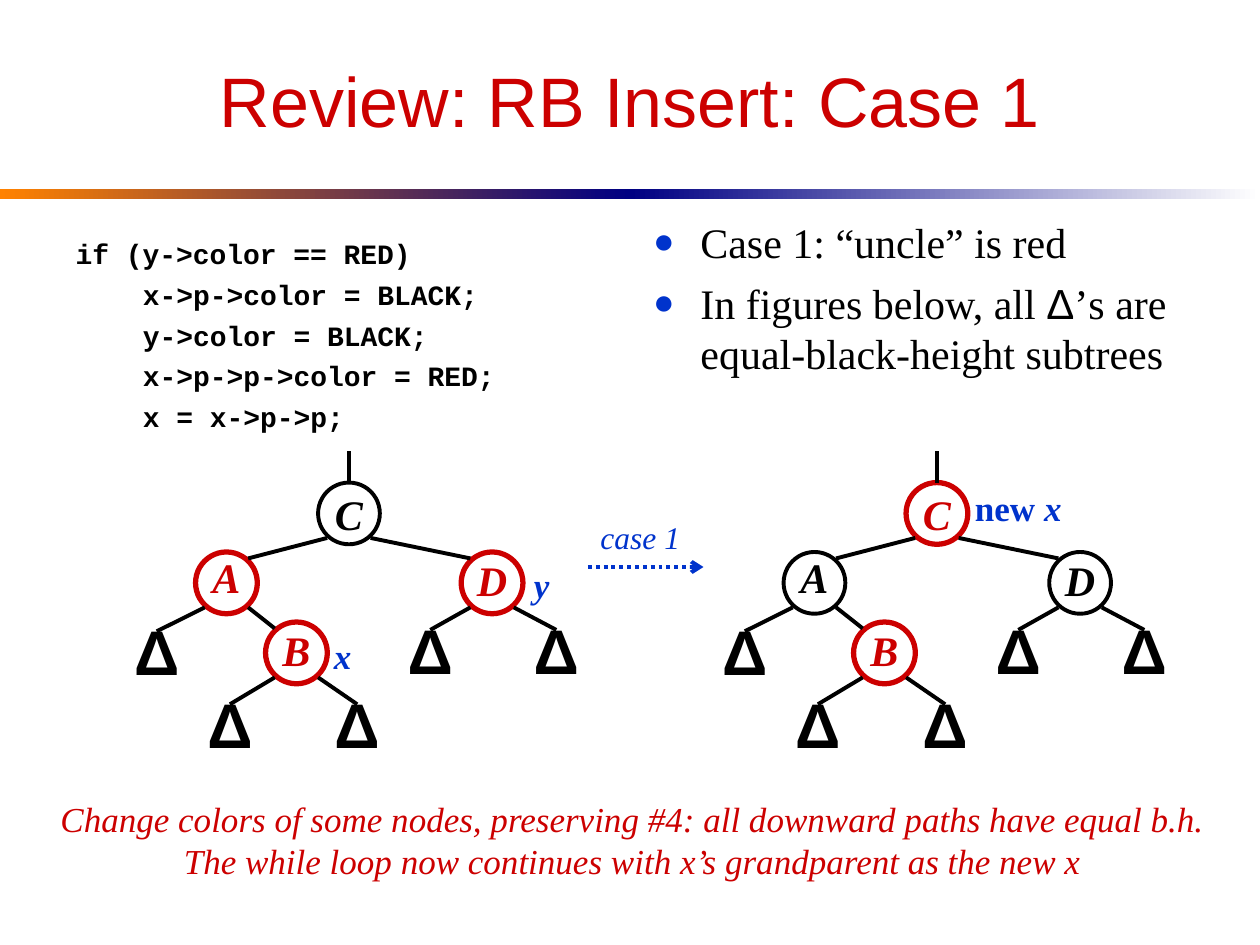
import lxml.etree
import pptx
import pptx.dml.color
import pptx.enum.dml
import pptx.enum.shapes
import pptx.enum.text
import pptx.oxml.ns
import pptx.util

Pt = pptx.util.Pt
RGB = pptx.dml.color.RGBColor
qn = pptx.oxml.ns.qn
KIND = pptx.enum.shapes.MSO_SHAPE
ALIGN = pptx.enum.text.PP_ALIGN
MIDDLE = pptx.enum.text.MSO_ANCHOR.MIDDLE
FIT = pptx.enum.text.MSO_AUTO_SIZE

BLACK = RGB(0x00, 0x00, 0x00)
WHITE = RGB(0xFF, 0xFF, 0xFF)
RED = RGB(0xCC, 0x00, 0x00)
BLUE = RGB(0x00, 0x33, 0xCC)
NAVY = RGB(0x00, 0x00, 0x82)
ORANGE = RGB(0xFF, 0x82, 0x00)

SERIF = "Times New Roman"
TITLE = dict(name="Arial", size=Pt(40), color=RED)
CODE = dict(name="Courier New", size=Pt(16), bold=True, color=BLACK)
BODY = dict(name=SERIF, size=Pt(24), color=BLACK)
NODE = dict(name=SERIF, size=Pt(24), bold=True, italic=True)
LEAF = dict(name="Arial", size=Pt(36), bold=True, color=BLACK)
MARK = dict(name=SERIF, size=Pt(20), bold=True, color=BLUE)
NOTE = dict(name=SERIF, size=Pt(20), italic=True, color=RED)
STEP = dict(name=SERIF, size=Pt(18), italic=True, color=BLUE)

SIZE = 35.3
DX, DY = 12.4, 14
SHIFT = 336
NODES = {
    "C": (199.4, 293.4, 1.0),
    "A": (129.4, 333.1, 0.7),
    "D": (281.2, 333.1, 0.9),
    "B": (169.4, 373.1, 0.9),
}
LEAVES = [
    ("A", 89.6, 378.4, WHITE),
    ("B", 131.4, 420.1, WHITE),
    ("B", 204.1, 420.1, None),
    ("D", 245.9, 377.6, None),
    ("D", 317.9, 377.6, None),
]
EDGES = ["CA", "CD", "AB"]


def add_run(para, text, form):
    run = para.add_run()
    run.text = text
    for key, value in form.items():
        if key == "color":
            run.font.color.rgb = value
        else:
            setattr(run.font, key, value)


def fill_text(frame, paras, form, **props):
    for i, parts in enumerate(paras):
        para = frame.paragraphs[0] if i == 0 else frame.add_paragraph()
        for key, value in props.items():
            setattr(para, key, value)
        for text, extra in parts:
            add_run(para, text, form | extra)


def place(shape, box):
    for key, value in zip(("left", "top", "width", "height"), box):
        setattr(shape, key, Pt(value))
    shape.text_frame.auto_size = FIT.NONE
    return shape.text_frame


def set_list(para, left, hang, mark=None):
    prop = para._p.get_or_add_pPr()
    prop.set("marL", str(int(Pt(left))))
    prop.set("indent", str(-int(Pt(hang))))
    add = lxml.etree.SubElement
    if mark:
        tint = add(prop, qn("a:buClr"))
        add(tint, qn("a:srgbClr"), val=str(BLUE))
        add(prop, qn("a:buSzPct"), val="85000")
        add(prop, qn("a:buChar"), char=mark)
    else:
        add(prop, qn("a:buNone"))


def add_bar(slide, left, start, end):
    bar = slide.shapes.add_shape(KIND.RECTANGLE, Pt(left), Pt(108), Pt(360), Pt(5.76))
    bar.shadow.inherit = False
    bar.line.fill.background()
    bar.fill.gradient()
    bar.fill.gradient_angle = 0
    for stop, color in zip(bar.fill.gradient_stops, (start, end)):
        stop.color.rgb = color


def add_disc(slide, x, y, text, form, space, fill=WHITE, line=None):
    disc = slide.shapes.add_shape(
        KIND.OVAL, Pt(x - SIZE / 2), Pt(y - SIZE / 2), Pt(SIZE), Pt(SIZE))
    disc.shadow.inherit = False
    if fill is None:
        disc.fill.background()
    else:
        disc.fill.solid()
        disc.fill.fore_color.rgb = fill
    if line is None:
        disc.line.fill.background()
    else:
        disc.line.color.rgb = line
        disc.line.width = Pt(3 if line == RED else 2.25)
    frame = disc.text_frame
    frame.word_wrap = False
    frame.vertical_anchor = MIDDLE
    fill_text(frame, [[(text, {})]], form, alignment=ALIGN.CENTER, line_spacing=space)


def add_line(slide, start, end, color=BLACK, arrow=False):
    line = slide.shapes.add_connector(
        pptx.enum.shapes.MSO_CONNECTOR.STRAIGHT, *map(Pt, start + end))
    line.line.color.rgb = color
    line.line.width = Pt(2.25)
    prop = line.element.spPr
    if arrow:
        line.line.dash_style = pptx.enum.dml.MSO_LINE.ROUND_DOT
        lxml.etree.SubElement(prop.find(qn("a:ln")), qn("a:tailEnd"), type="arrow")
    lxml.etree.SubElement(prop, qn("a:effectLst"))


def add_tree(slide, shift, reds):
    for name, (x, y, space) in NODES.items():
        color = RED if name in reds else BLACK
        add_disc(slide, x + shift, y, name, NODE | {"color": color}, space, line=color)
    for top, x, y, fill in LEAVES:
        add_disc(slide, x + shift, y, "Δ", LEAF, 0.6, fill=fill)
    links = [(top, x, y, 0, SIZE / 2) for top, x, y, fill in LEAVES]
    links += [(top, *NODES[low][:2], DX, DY) for top, low in EDGES]
    for top, x, y, dx, dy in links:
        px, py, space = NODES[top]
        side = 1 if x > px else -1
        add_line(slide, (px + shift + side * DX, py + DY),
                 (x + shift - side * dx, y - dy))
    x, y, space = NODES["C"]
    add_line(slide, (x + shift, y - SIZE / 2), (x + shift, 257.8))


def add_label(slide, box, paras, form, align=ALIGN.CENTER):
    frame = slide.shapes.add_textbox(*map(Pt, box)).text_frame
    frame.word_wrap = False
    frame.auto_size = FIT.SHAPE_TO_FIT_TEXT
    frame.vertical_anchor = MIDDLE
    fill_text(frame, paras, form, alignment=align)


def add_heads(slide):
    title, code, body = slide.placeholders
    frame = place(title, (36, 18, 648, 77.8))
    frame.vertical_anchor = MIDDLE
    fill_text(frame, [[("Review: RB Insert: Case 1", {})]], TITLE, alignment=ALIGN.CENTER)

    rows = ["if (y->color == RED)", "x->p->color = BLACK;", "y->color = BLACK;",
            "x->p->p->color = RED;", "x = x->p->p;"]
    frame = place(code, (36, 131.8, 318, 131.8))
    fill_text(frame, [[(row, {})] for row in rows], CODE, space_before=Pt(4))
    for i, para in enumerate(frame.paragraphs):
        set_list(para, 38.4 if i else 0, 0)

    frame = place(body, (366, 120, 318, 138))
    fill_text(frame, [
        [("Case 1: “uncle” is red", {})],
        [("In figures below, all ", {}), ("Δ", {"name": "Arial"}),
         ("’s are equal-black-height subtrees", {})],
    ], BODY, space_before=Pt(6))
    for para in frame.paragraphs:
        set_list(para, 27, 27, "●")


def main():
    deck = pptx.Presentation()
    deck.slide_width, deck.slide_height = Pt(720), Pt(540)
    slide = deck.slides.add_slide(deck.slide_layouts[3])
    for holder in list(slide.placeholders)[3:]:
        holder.element.getparent().remove(holder.element)
    add_bar(slide, 0, ORANGE, NAVY)
    add_bar(slide, 360, NAVY, WHITE)
    add_heads(slide)
    add_tree(slide, 0, "ADB")
    add_tree(slide, SHIFT, "CB")
    add_line(slide, (336, 324), (402, 324), BLUE, True)
    slant = {"italic": True}
    add_label(slide, (183.6, 358.6, 24.5, 31.5), [[("x", slant)]], MARK)
    add_label(slide, (298, 318.2, 23, 31.5), [[("y", slant)]], MARK)
    add_label(slide, (550, 274.3, 64, 31.5),
              [[("new", {}), (" x", slant)]], MARK, ALIGN.LEFT)
    add_label(slide, (26.6, 452.2, 669.6, 55.4), [
        [("Change colors of some nodes, preserving #4: "
          "all downward paths have equal b.h.", {})],
        [("The while loop now continues with x’s grandparent as the new x", {})],
    ], NOTE)
    add_label(slide, (336, 292.3, 59.8, 28.8), [[("case 1", {})]], STEP)
    deck.save("out.pptx")


if __name__ == "__main__":
    main()
